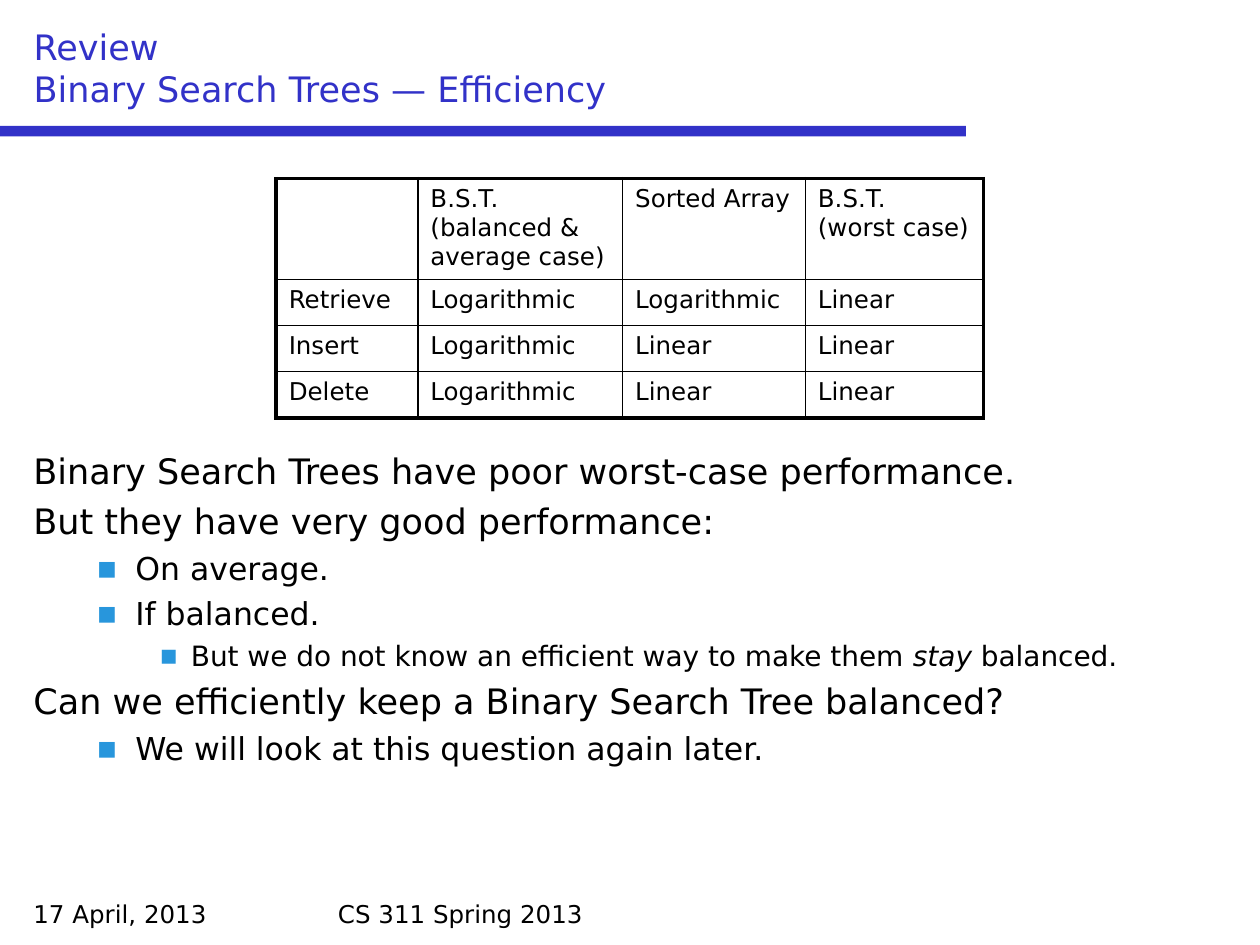
from lxml import etree
from pptx import Presentation
from pptx import util as u
from pptx.dml.color import RGBColor
from pptx.enum import shapes, text
from pptx.oxml.ns import qn

FONT = "DejaVu Sans"
COLORS = {"ink": "000000", "accent": "3232C8", "bullet": "2896DC"}
COLUMNS, ROWS = 120, 90

deck = Presentation()
deck.slide_width, deck.slide_height = u.Inches(10), u.Inches(7.5)
CELL = deck.slide_width / COLUMNS

HEADINGS = ["", "B.S.T.\v(balanced & average case)", "Sorted Array", "B.S.T.\v(worst case)"]
COSTS = [
    ["Retrieve", "Logarithmic", "Logarithmic", "Linear"],
    ["Insert", "Logarithmic", "Linear", "Linear"],
    ["Delete", "Logarithmic", "Linear", "Linear"],
]
LEVELS = [(20, 0.38, 0.38), (18, 0.81, 0.31), (16, 1.25, 0.25)]
POINTS = [
    (0, ["Binary Search Trees have poor worst-case performance."]),
    (0, ["But they have very good performance:"]),
    (1, ["On average."]),
    (1, ["If balanced."]),
    (2, ["But we do not know an efficient way to make them ", "stay", " balanced."]),
    (0, ["Can we efficiently keep a Binary Search Tree balanced?"]),
    (1, ["We will look at this question again later."]),
]


def grid(*lengths):
    return [u.Emu(round(length * CELL)) for length in lengths]


def color(name):
    return RGBColor.from_string(COLORS[name])


def style(paragraph, size, name="ink"):
    for span in paragraph.runs:
        span.font.name, span.font.size = FONT, u.Pt(size)
        span.font.color.rgb = color(name)


def add_header(page, box):
    title = page.shapes.title
    title.left, title.top, title.width, title.height = grid(*box)
    frame = title.text_frame
    frame.text = "Review\vBinary Search Trees — Efficiency"
    frame.word_wrap = True
    frame.auto_size = text.MSO_AUTO_SIZE.NONE
    frame.vertical_anchor = text.MSO_ANCHOR.BOTTOM
    frame.paragraphs[0].alignment = text.PP_ALIGN.LEFT
    style(frame.paragraphs[0], 20, "accent")


def add_rule(page, box):
    rule = page.shapes.add_shape(shapes.MSO_SHAPE.RECTANGLE, *grid(*box))
    rule.shadow.inherit = False
    rule.fill.solid()
    rule.fill.fore_color.rgb = color("accent")
    rule.line.fill.background()


def add_border(cell, side, width):
    properties = cell._tc.get_or_add_tcPr()
    line = etree.SubElement(properties, qn(f"a:ln{side}"), w=str(u.Pt(width)))
    fill = etree.SubElement(line, qn("a:solidFill"))
    etree.SubElement(fill, qn("a:srgbClr"), val=COLORS["ink"])


def add_costs(page, box, widths, heights):
    rows = [HEADINGS] + COSTS
    table = page.shapes.add_table(len(rows), len(HEADINGS), *grid(*box)).table
    for column, width in zip(table.columns, grid(*widths)):
        column.width = width
    for row, height in zip(table.rows, grid(*heights)):
        row.height = height
    last_row, last_column = len(rows) - 1, len(HEADINGS) - 1
    for i, row in enumerate(rows):
        for j, wording in enumerate(row):
            cell = table.cell(i, j)
            cell.text_frame.text = wording
            style(cell.text_frame.paragraphs[0], 14)
            edges = {"L": j == 0, "R": j == last_column, "T": i == 0, "B": i == last_row}
            for side, outer in edges.items():
                add_border(cell, side, 2.25 if outer else 1)
            cell.fill.background()


def add_bullet(paragraph):
    properties = paragraph._p.get_or_add_pPr()
    tint = etree.SubElement(properties, qn("a:buClr"))
    etree.SubElement(tint, qn("a:srgbClr"), val=COLORS["bullet"])
    etree.SubElement(properties, qn("a:buFont"), typeface=FONT)
    etree.SubElement(properties, qn("a:buChar"), char="▪")


def add_points(page, box):
    frame = page.shapes.add_textbox(*grid(*box)).text_frame
    frame.word_wrap = True
    for index, (level, spans) in enumerate(POINTS):
        paragraph = frame.add_paragraph() if index else frame.paragraphs[0]
        size, margin, hanging = LEVELS[level]
        paragraph.level = level
        properties = paragraph._p.get_or_add_pPr()
        properties.set("marL", str(u.Inches(margin)))
        properties.set("indent", str(-u.Inches(hanging)))
        if level:
            add_bullet(paragraph)
        paragraph.space_before = u.Pt(round(0.23 * size, 1) if index else 0)
        for wording in spans:
            span = paragraph.add_run()
            span.text = wording
            if wording == "stay":
                span.font.italic = True
        style(paragraph, size)


def add_footer(page, box, wording):
    frame = page.shapes.add_textbox(*grid(*box)).text_frame
    frame.word_wrap = True
    frame.text = wording
    style(frame.paragraphs[0], 14)


def main():
    page = deck.slides.add_slide(deck.slide_layouts[5])
    add_rule(page, (0, 12, 92, 1))
    add_footer(page, (2, 85, 28, 4), "17 April, 2013")
    add_footer(page, (31, 85, 58, 4), "CS 311 Spring 2013")
    add_header(page, (2, 2, 116, 9))
    add_points(page, (2, 42.25, 116, 41.75))
    widths, heights = (13.5, 19.5, 17.4, 17), (9.6, 4.4, 4.4, 4.4)
    add_costs(page, (26.3, 17, sum(widths), sum(heights)), widths, heights)
    deck.save("out.pptx")


if __name__ == "__main__":
    main()
